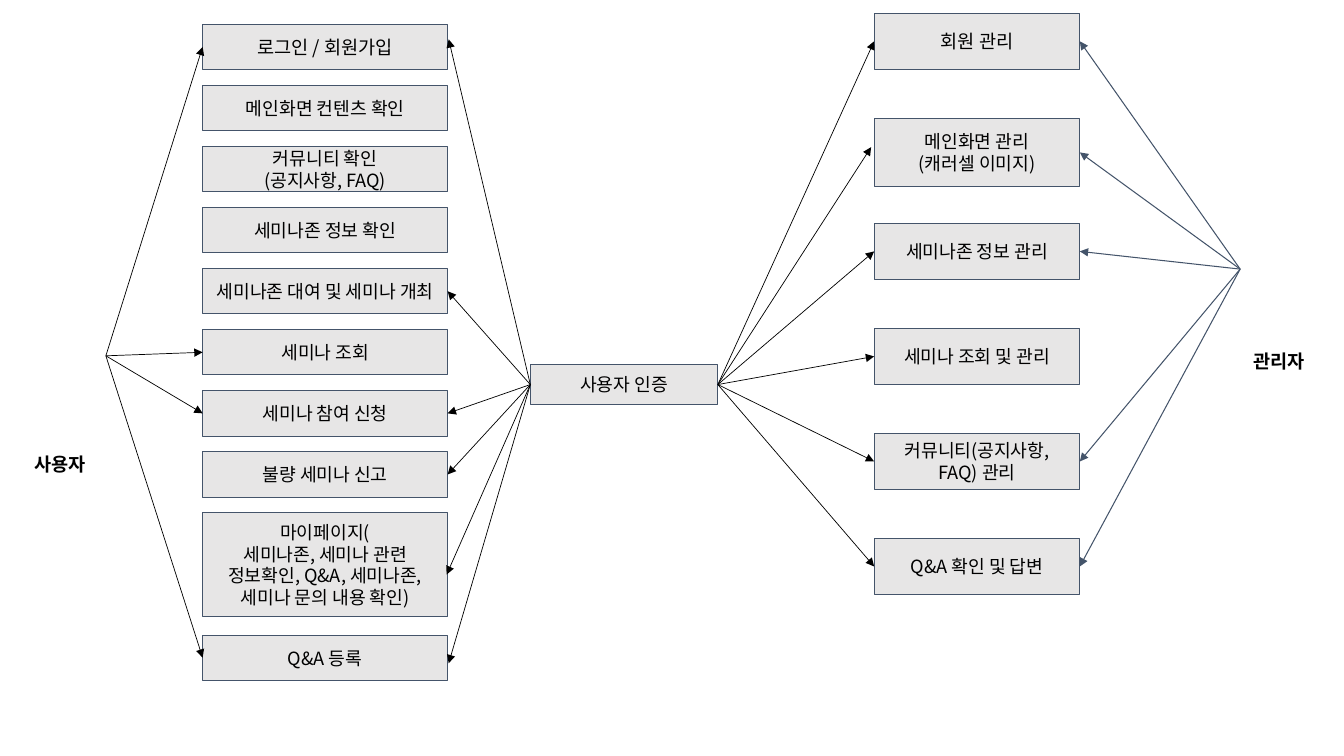
from lxml import etree
from pptx import Presentation
from pptx.dml.color import RGBColor
from pptx.enum import shapes, text
from pptx.oxml import ns
from pptx.util import Inches, Pt

FONT = "Noto Sans CJK KR"
BLACK = RGBColor(0, 0, 0)
GREY = RGBColor(0xE7, 0xE6, 0xE6)
SLATE = RGBColor(0x44, 0x54, 0x6A)
LEFT, RIGHT = 1, 3  # connection sites

# Content: key, text, row, height, size
USER = [
    ("login", "로그인 / 회원가입", 0, 0.45, 13.3),
    ("main", "메인화면 컨텐츠 확인", 1, 0.45, 13),
    ("board", "커뮤니티 확인\n(공지사항, FAQ)", 2, 0.45, 13),
    ("zone", "세미나존 정보 확인", 3, 0.45, 13),
    ("rent", "세미나존 대여 및 세미나 개최", 4, 0.45, 13),
    ("find", "세미나 조회", 5, 0.45, 13),
    ("join", "세미나 참여 신청", 6, 0.45, 13),
    ("report", "불량 세미나 신고", 7, 0.45, 13),
    ("mypage", "마이페이지(\n세미나존, 세미나 관련 정보확인, Q&A, 세미나존, "
     "세미나 문의 내용 확인)", 8, 1.03, 13),
    ("ask", "Q&A 등록", 10, 0.45, 13),
]
ADMIN = [
    ("members", "회원 관리", 0, 0.56, 13.3),
    ("banner", "메인화면 관리\n(캐러셀 이미지)", 1, 0.68, 13),
    ("zones", "세미나존 정보 관리", 2, 0.56, 13),
    ("events", "세미나 조회 및 관리", 3, 0.56, 13),
    ("boards", "커뮤니티(공지사항, FAQ) 관리", 4, 0.56, 13),
    ("answer", "Q&A 확인 및 답변", 5, 0.56, 13),
]
# Columns: boxes, left, top, width, row pitch
COLS = [(USER, 2.01, 0.24, 2.43, (6.3 - 0.24) / 10),
        (ADMIN, 8.67, 0.13, 2.04, (5.34 - 0.13) / 5)]
LABELS = [("사용자", 0.21, 4.38, 0.9, 0.44, text.PP_ALIGN.LEFT),
          ("관리자", 11.96, 3.36, 1.46, 0.36, text.PP_ALIGN.CENTER)]

# Arrows: start point, start side of the hub, target side, colour, width, targets
FANS = [
    ((1.05, 3.53), None, LEFT, BLACK, 0.5, ["login", "find", "join", "ask"]),
    ((5.26, 3.82), LEFT, RIGHT, BLACK, 0.5,
     ["login", "rent", "join", "report", "mypage", "ask"]),
    ((7.12, 3.82), RIGHT, LEFT, BLACK, 0.5, [box[0] for box in ADMIN]),
    ((12.3, 2.67), None, RIGHT, SLATE, 0.75,
     ["members", "banner", "zones", "boards", "answer"]),
]
# Arrow tips that miss the middle of a side
TIPS = {("login", RIGHT): (4.45, 0.39), ("mypage", RIGHT): (4.43, 5.7),
        ("ask", RIGHT): (4.45, 6.58), ("banner", LEFT): (8.64, 1.46)}

deck = Presentation()
deck.slide_width, deck.slide_height = Inches(13.33), Inches(7.5)
slide = deck.slides.add_slide(deck.slide_layouts[6])


def write(shape, words, size, align, bold=False):
    frame = shape.text_frame
    frame.word_wrap = True
    frame.margin_left = frame.margin_right = Inches(0.13)
    frame.margin_top = frame.margin_bottom = Inches(0.13)
    frame.text = words
    for para in frame.paragraphs:
        para.alignment = align
        font = para.font
        font.name, font.size, font.bold = FONT, Pt(size), bold
        font.color.rgb = BLACK
        # Korean glyphs use the East Asian typeface
        props = para._p.find(ns.qn("a:pPr")).find(ns.qn("a:defRPr"))
        etree.SubElement(props, ns.qn("a:ea"), typeface=FONT)


def add_box(words, x, y, w, h, size):
    box = slide.shapes.add_shape(shapes.MSO_SHAPE.RECTANGLE, Inches(x),
                                 Inches(y), Inches(w), Inches(h))
    box.shadow.inherit = False
    box.fill.solid()
    box.fill.fore_color.rgb = GREY
    box.line.color.rgb = SLATE
    box.line.width = Pt(0.75)
    box.text_frame.vertical_anchor = text.MSO_ANCHOR.MIDDLE
    write(box, words, size, text.PP_ALIGN.CENTER)
    return box


def add_arrow(start, tip, color, width):
    line = slide.shapes.add_connector(
        shapes.MSO_CONNECTOR.STRAIGHT, *map(Inches, start + tip))
    line.line.color.rgb = color
    line.line.width = Pt(width)
    etree.SubElement(line.line._get_or_add_ln(), ns.qn("a:tailEnd"),
                     type="triangle")
    etree.SubElement(line._element.spPr, ns.qn("a:effectLst"))
    return line


# Role labels
for words, x, y, w, h, align in LABELS:
    label = slide.shapes.add_textbox(Inches(x), Inches(y), Inches(w), Inches(h))
    write(label, words, 13.3, align, True)

# Function boxes and the hub
boxes = {}
for rows, x, top, w, pitch in COLS:
    for key, words, row, h, size in rows:
        boxes[key] = add_box(words, x, top + row * pitch, w, h, size)
hub = add_box("사용자 인증", 5.26, 3.62, 1.86, 0.39, 13)

# Arrow fans
for start, origin, side, color, width, keys in FANS:
    for key in keys:
        tip = TIPS.get((key, side))
        arrow = add_arrow(start, tip or start, color, width)
        if origin is not None:
            arrow.begin_connect(hub, origin)
        if tip is None:
            arrow.end_connect(boxes[key], side)

deck.save("out.pptx")
